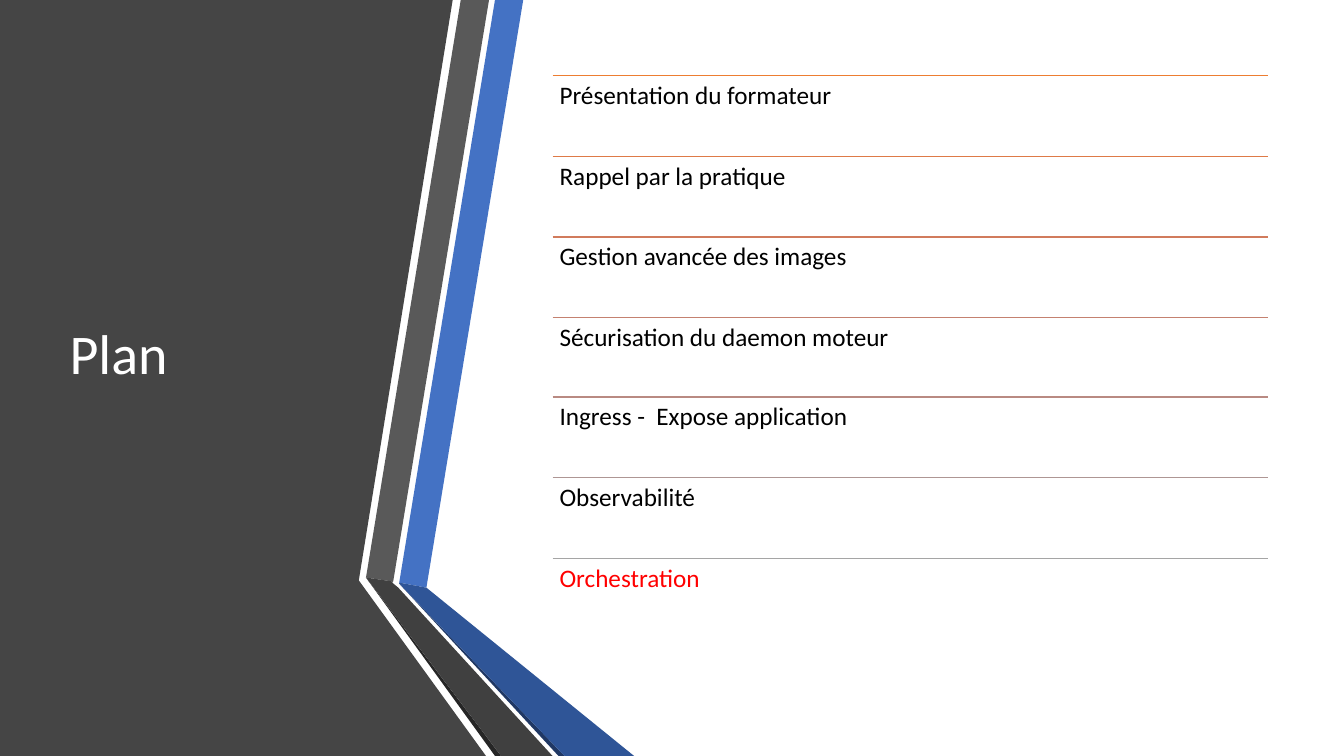
from lxml.etree import SubElement
from pptx import Presentation
from pptx.dml.color import RGBColor
from pptx.enum.text import MSO_ANCHOR, MSO_AUTO_SIZE, PP_ALIGN
from pptx.oxml.ns import qn
from pptx.util import Pt

PX = 9144
FONT = "Calibri"
TITLE = "Plan"
ITEMS = [
    ("Présentation du formateur", "ED7D31", "000000"),
    ("Rappel par la pratique", "DE7A47", "000000"),
    ("Gestion avancée des images", "D17B5C", "000000"),
    ("Sécurisation du daemon moteur", "C48170", "000000"),
    ("Ingress -  Expose application", "B98A82", "000000"),
    ("Observabilité", "AE9694", "000000"),
    ("Orchestration", "A5A5A5", "FF0000"),
]
BANDS = [
    ("454545", [(0, 0), (449, 0), (356, 575), (356, 576), (482, 750), (0, 750)]),
    ("4472C4", [(396, 578), (423, 583), (519, 0), (491, 0)]),
    ("595959", [(485, 0), (457, 0), (363, 573), (390, 577)]),
    ("262626", [(363, 573), (491, 750), (497, 750)]),
    ("203864", [(396, 579), (554, 750), (560, 750)]),
    ("2F5597", [(396, 579), (560, 750), (629, 750), (423, 583), (396, 578)]),
    ("404040", [(548, 750), (395, 583), (389, 578), (390, 577), (363, 573), (497, 750)]),
]
LIST_X, LIST_Y, LIST_W, LIST_H = 548, 75, 710, 559
INSET = 7


def rgb(value):
    return RGBColor.from_string(value)


def place(sp, x, y, w, h):
    sp.left, sp.top, sp.width, sp.height = (v * PX for v in (x, y, w, h))


def write(tf, text, size, color):
    tf.word_wrap = True
    tf.auto_size = MSO_AUTO_SIZE.NONE
    p = tf.paragraphs[0]
    p.alignment = PP_ALIGN.LEFT
    p.line_spacing = 0.9
    r = p.add_run()
    r.text = text
    r.font.name = FONT
    r.font.size = Pt(size)
    r.font.color.rgb = rgb(color)


def add_band(s, color, points):
    builder = s.shapes.build_freeform(*points[0], scale=PX)
    builder.add_line_segments(points[1:], close=True)
    sp = builder.convert_to_shape()
    sp.shadow.inherit = False
    sp.fill.solid()
    sp.fill.fore_color.rgb = rgb(color)
    sp.line.fill.background()


def add_item(s, y, h, text, line_color, text_color):
    rule = s.shapes.add_connector(1, LIST_X * PX, y * PX, (LIST_X + LIST_W) * PX, y * PX)
    rule.line.color.rgb = rgb(line_color)
    rule.line.width = Pt(1)
    SubElement(rule._element.spPr, qn("a:effectLst"))
    sp = s.shapes.add_textbox(LIST_X * PX, y * PX, LIST_W * PX, h * PX)
    tf = sp.text_frame
    tf.margin_left = tf.margin_right = tf.margin_top = tf.margin_bottom = INSET * PX
    write(tf, text, 18, text_color)


def main():
    prs = Presentation()
    prs.slide_width, prs.slide_height = 1333 * PX, 750 * PX
    s = prs.slides.add_slide(prs.slide_layouts[5])
    for color, points in BANDS:
        add_band(s, color, points)

    title = s.shapes.title
    s.shapes._spTree.append(title._element)
    place(title, 59, 75, 304, 558)
    title.text_frame.vertical_anchor = MSO_ANCHOR.MIDDLE
    write(title.text_frame, TITLE, 40, "FFFFFF")

    step = LIST_H / len(ITEMS)
    for i, item in enumerate(ITEMS):
        add_item(s, round(LIST_Y + i * step), round(step), *item)
    prs.save("out.pptx")


if __name__ == "__main__":
    main()
